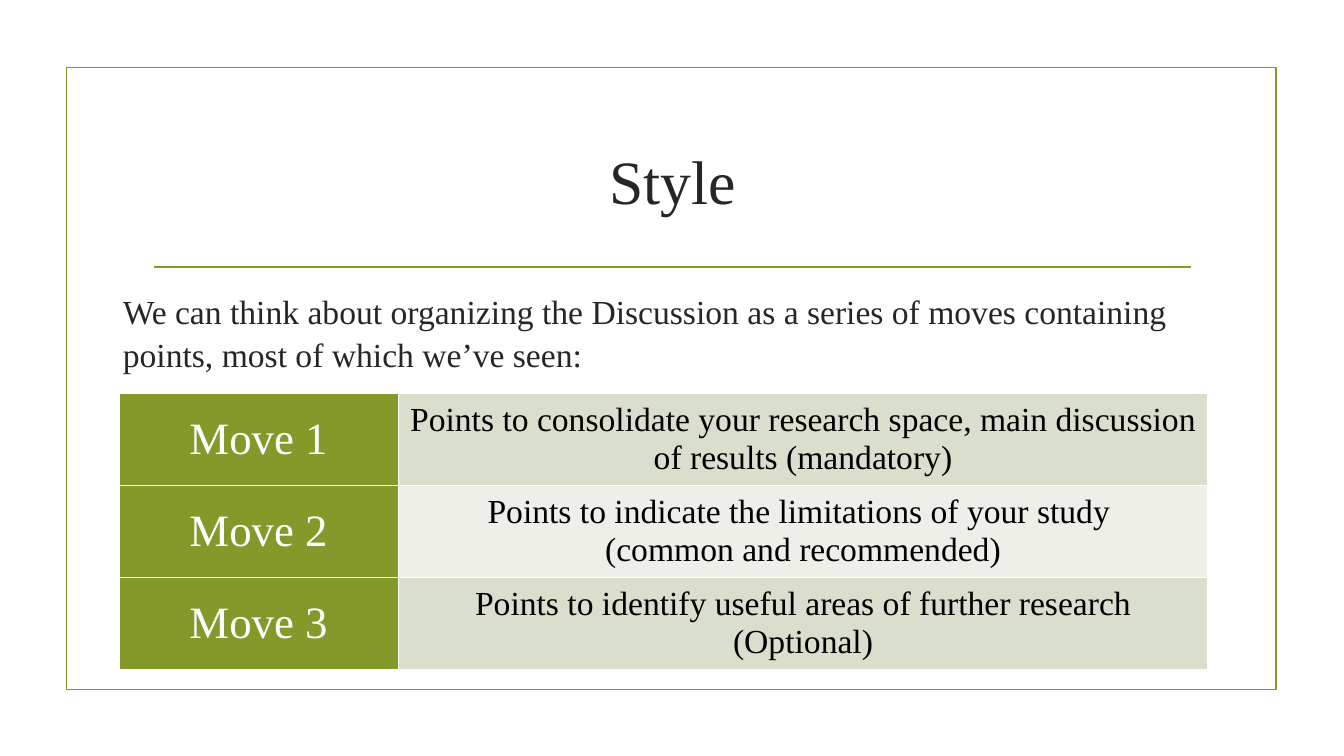
from lxml import etree
from pptx import Presentation
from pptx import util as u
from pptx.dml.color import RGBColor
from pptx.enum import shapes, text
from pptx.oxml.ns import qn

FONT = "Times New Roman"
GREEN = "83992A"
DARK = "262626"
BANDS = ["D9DECD", "EDEFE8"]
MOVES = [
    ("Move 1", "Points to consolidate your research space, main discussion of results (mandatory)"),
    ("Move 2", "Points to indicate the limitations of your study \n(common and recommended)"),
    ("Move 3", "Points to identify useful areas of further research (Optional)"),
]


def rgb(value):
    return RGBColor.from_string(value)


def write(tf, words, size, color, align=text.PP_ALIGN.CENTER, spacing=None):
    tf.word_wrap = True
    p = tf.paragraphs[0]
    p.text = words
    p.alignment = align
    if spacing:
        p.line_spacing = spacing
    for r in p.runs:
        r.font.name = FONT
        r.font.size = u.Pt(size)
        r.font.color.rgb = rgb(color)


def add_text(s, box, words, anchor=text.MSO_ANCHOR.TOP, **fmt):
    sp = s.shapes.add_textbox(*map(u.Inches, box))
    sp.text_frame.vertical_anchor = anchor
    write(sp.text_frame, words, **fmt)


def set_line(sp):
    sp.line.color.rgb = rgb(GREEN)
    sp.line.width = u.Pt(1.25)


def add_frame(s, box):
    sp = s.shapes.add_shape(shapes.MSO_SHAPE.RECTANGLE, *map(u.Inches, box))
    sp.shadow.inherit = False
    sp.fill.background()
    set_line(sp)


def add_rule(s, left, right, y):
    sp = s.shapes.add_connector(
        shapes.MSO_CONNECTOR.STRAIGHT, *map(u.Inches, (left, y, right, y)))
    set_line(sp)
    etree.SubElement(sp._element.spPr, qn("a:effectLst"))


def add_borders(cell, color):
    tc_pr = cell._tc.get_or_add_tcPr()
    for i, side in enumerate(("a:lnL", "a:lnR", "a:lnT", "a:lnB")):
        ln = etree.Element(qn(side), w=str(u.Pt(1)))
        fill = etree.SubElement(ln, qn("a:solidFill"))
        etree.SubElement(fill, qn("a:srgbClr"), val=color)
        tc_pr.insert(i, ln)


def fill_cell(cell, words, size, color, fill):
    write(cell.text_frame, words, size, color)
    cell.vertical_anchor = text.MSO_ANCHOR.MIDDLE
    cell.fill.solid()
    cell.fill.fore_color.rgb = rgb(fill)
    add_borders(cell, "FFFFFF")


def add_moves(s, box, widths):
    table = s.shapes.add_table(len(MOVES), 2, *map(u.Inches, box)).table
    table.first_row = False
    table.first_col = True
    for column, width in zip(table.columns, widths):
        column.width = u.Inches(width)
    for i, (move, points) in enumerate(MOVES):
        fill_cell(table.cell(i, 0), move, 32, "FFFFFF", GREEN)
        fill_cell(table.cell(i, 1), points, 24, "000000", BANDS[i % 2])


def main():
    prs = Presentation()
    prs.slide_width, prs.slide_height = u.Inches(13.33), u.Inches(7.5)
    s = prs.slides.add_slide(prs.slide_layouts[6])
    add_frame(s, (0.66, 0.67, 12, 6.17))
    add_rule(s, 1.53, 11.81, 2.65)
    add_text(s, (1.42, 1.07, 10.5, 1.43), "Style",
             anchor=text.MSO_ANCHOR.MIDDLE, size=44, color=DARK)
    add_text(s, (1.12, 2.8, 10.8, 0.95),
             "We can think about organizing the Discussion as a series of moves "
             "containing points, most of which we’ve seen:",
             size=24, color=DARK, align=text.PP_ALIGN.LEFT, spacing=1.08)
    add_moves(s, (1.18, 3.9, 10.8, 2.74), (2.77, 8.03))
    prs.save("out.pptx")


if __name__ == "__main__":
    main()
